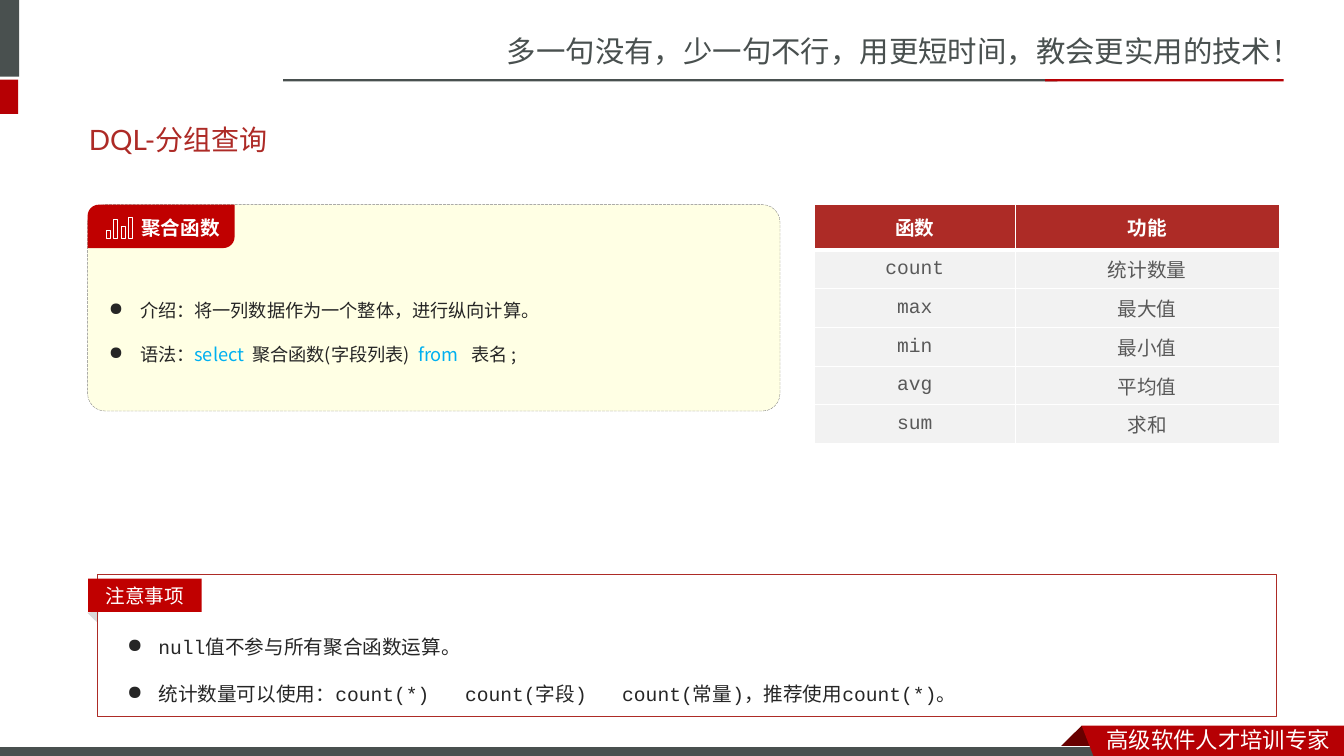
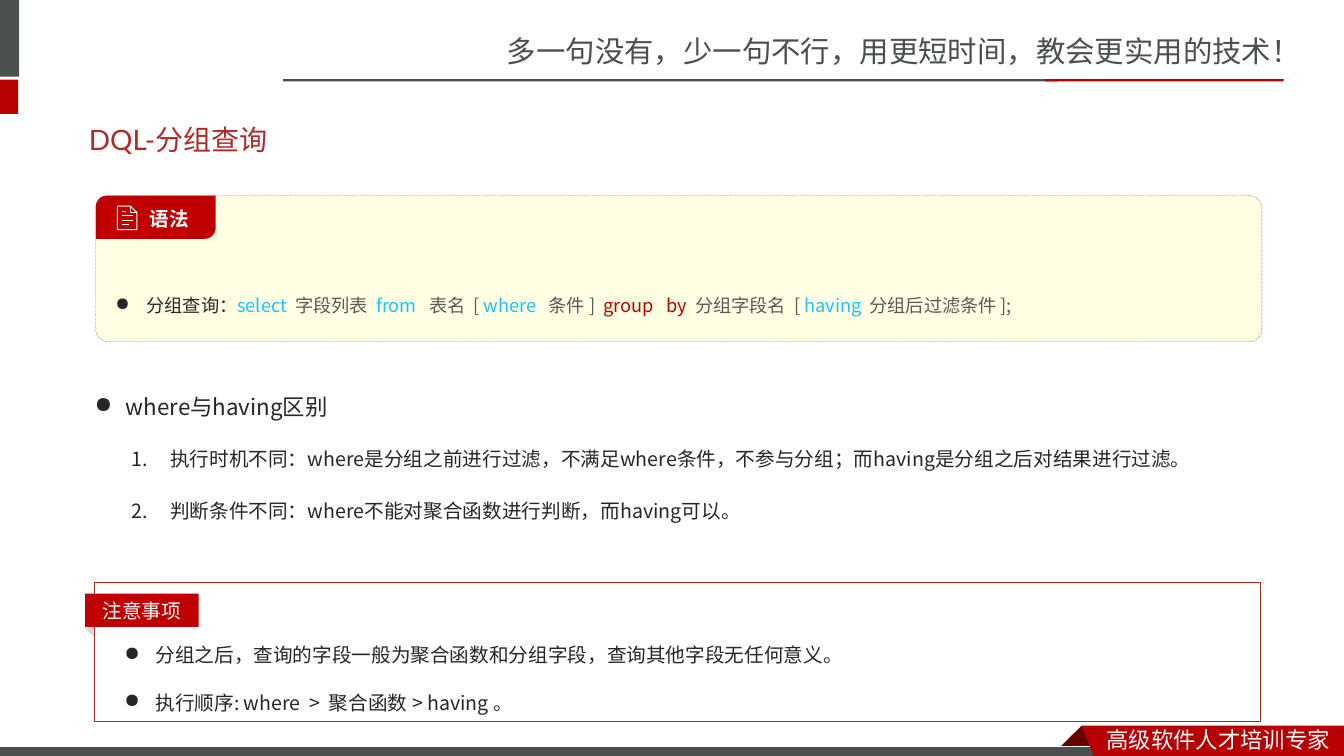
from lxml import etree
from pptx import Presentation
from pptx import util as u
from pptx.dml import color as dml_color
from pptx.enum import dml, shapes, text
from pptx.oxml import ns

COLORS = {
    "slate": "49504F", "band": "B60004", "fold": "680000", "red": "C00000",
    "brick": "AD2B26", "title": "AD2A26", "cream": "FFFFE4", "dash": "808080",
    "ink": "262626", "gray": "595959", "pale": "F2F2F2", "shade": "D9D9D9",
    "blue": "00B0F0", "sky": "19C3FF", "white": "FFFFFF",
}
CJK = "Noto Sans CJK SC"
SANS = "Noto Sans CJK JP"
MONO = "Courier New"
FONTS = {
    "slogan": {"name": CJK, "size": u.Pt(21)},
    "footer": {"name": CJK, "size": u.Pt(16)},
    "title": {"name": "Lato", "size": u.Pt(20), "bold": False},
    "label": {"name": SANS, "size": u.Pt(14), "bold": True},
    "tag": {"name": "Calibri", "size": u.Pt(14)},
    "syntax": {"name": SANS, "size": u.Pt(13)},
    "lead": {"name": SANS, "size": u.Pt(16)},
    "body": {"name": SANS, "size": u.Pt(14)},
    "code": {"name": MONO, "size": u.Pt(14)},
}
LEFT, CENTER = text.PP_ALIGN.LEFT, text.PP_ALIGN.CENTER
TOP, MIDDLE = text.MSO_ANCHOR.TOP, text.MSO_ANCHOR.MIDDLE
SHAPE = shapes.MSO_SHAPE
INSETS = (7.2, 3.6, 7.2, 3.6)
DOT = ("buChar", {"char": "●"})
NUMBER = ("buAutoNum", {"type": "arabicPeriod"})


def points(*values):
    return [u.Pt(value) for value in values]


def rgb(name):
    return dml_color.RGBColor.from_string(COLORS[name])


def add_xml(parent, tag, **attributes):
    return etree.SubElement(parent, ns.qn(f"a:{tag}"), attributes)


class Deck:
    def __init__(self):
        self.presentation = Presentation()
        self.presentation.slide_width, self.presentation.slide_height = points(960, 540)
        self.slide = None

    def new_slide(self, title):
        layout = self.presentation.slide_layouts.get_by_name("Title Only")
        self.slide = self.presentation.slides.add_slide(layout)
        self.text_box((355, 20.2, 605, 34), ["多一句没有，少一句不行，用更短时间，教会更实用的技术！"],
                      "slogan", "slate", insets=(7.2, 3.6, 0, 3.6))
        for box, fill in (((-4.3, 0, 18, 54.7), "slate"), ((-4.3, 56.9, 17.3, 24.5), "band"),
                          ((202.3, 56.6, 553, 1.6), "slate"), ((746.6, 56.6, 170.4, 1.6), "band")):
            self.shape(SHAPE.RECTANGLE, box, fill)
        self.outline([(772.6, 518.4), (788.4, 534.2), (787.7, 535), (757.4, 535), (756.7, 534.2)], "fold")
        self.shape(SHAPE.RECTANGLE, (-0.7, 533.5, 792, 8.6), "slate", "white", 0.75)
        self.outline([(772.6, 518.4), (960, 518.4), (960, 542.9), (781.9, 542.2)], "band")
        self.text_box((783.4, 514.8, 176.6, 26.6), ["高级软件人才培训专家"],
                      "footer", "white", insets=(7.2, 3.6, 0, 3.6))
        self.title(title)

    def title(self, words):
        shape = self.slide.shapes.title
        shape.left, shape.top, shape.width, shape.height = points(56.2, 79.2, 842.4, 41)
        self.set_text(shape.text_frame, [words], "title", "title", anchor=MIDDLE)

    def set_text(self, frame, paragraphs, font, color, align=LEFT, anchor=TOP, insets=INSETS,
                 bullet=None, indent=22.3, spacing=None, before=0):
        """Fill a frame; a paragraph is a string or a list of strings, (string, colour) and
        numbers, where a number is a space widened by that many points."""
        margins = dict(zip(("margin_left", "margin_top", "margin_right", "margin_bottom"), points(*insets)))
        settings = {"word_wrap": True, "auto_size": text.MSO_AUTO_SIZE.NONE,
                    "vertical_anchor": anchor, **margins}
        for name, value in settings.items():
            setattr(frame, name, value)
        for index, content in enumerate(paragraphs):
            paragraph = frame.add_paragraph() if index else frame.paragraphs[0]
            layout = {"alignment": align, "line_spacing": spacing, "space_before": u.Pt(before)}
            for name, value in layout.items():
                setattr(paragraph, name, value)
            if bullet:
                properties = paragraph._p.get_or_add_pPr()
                properties.set("marL", str(u.Pt(indent)))
                properties.set("indent", str(-u.Pt(indent)))
                add_xml(properties, bullet[0], **bullet[1])
            for piece in [content] if isinstance(content, str) else content:
                self.add_piece(paragraph, piece, font, color)

    def add_piece(self, paragraph, piece, font, color):
        run = paragraph.add_run()
        properties = run._r.get_or_add_rPr()
        if isinstance(piece, (int, float)):
            properties.set("spc", str(round(piece * 100)))
            piece = " "
        run.text, color = piece if isinstance(piece, tuple) else (piece, color)
        for name, value in FONTS[font].items():
            setattr(run.font, name, value)
        run.font.color.rgb = rgb(color)
        asian = SANS if FONTS[font]["name"] == SANS else CJK
        add_xml(properties, "ea", typeface=asian)

    def text_box(self, box, paragraphs, font, color, **options):
        shape = self.slide.shapes.add_textbox(*points(*box))
        self.set_text(shape.text_frame, paragraphs, font, color, **options)

    def paint(self, shape, fill=None, line=None, weight=0.75):
        shape.shadow.inherit = False
        if fill:
            shape.fill.solid()
            shape.fill.fore_color.rgb = rgb(fill)
        else:
            shape.fill.background()
        if line:
            shape.line.color.rgb = rgb(line)
            shape.line.width = u.Pt(weight)
        else:
            shape.line.fill.background()
        return shape

    def shape(self, kind, box, fill=None, line=None, weight=0.75):
        return self.paint(self.slide.shapes.add_shape(kind, *points(*box)), fill, line, weight)

    def outline(self, corners, fill=None, line=None, close=True):
        start, *others = [points(*corner) for corner in corners]
        builder = self.slide.shapes.build_freeform(*start)
        builder.add_line_segments(others, close=close)
        self.paint(builder.convert_to_shape(), fill, line)

    def line(self, start, end, color):
        connector = self.slide.shapes.add_connector(
            shapes.MSO_CONNECTOR.STRAIGHT, *points(*start, *end))
        connector.line.color.rgb = rgb(color)
        connector.line.width = u.Pt(0.75)
        add_xml(connector._element.spPr, "effectLst")

    def panel(self, box, label, label_width, paragraphs, icon, inset_top, spacing):
        """Cream dashed panel with a red corner label and a bulleted text."""
        left, top = box[:2]
        panel = self.shape(SHAPE.ROUNDED_RECTANGLE, box, "cream", "dash", 0.25)
        panel.adjustments[0] = 0.085
        panel.line.dash_style = dml.MSO_LINE.LONG_DASH
        self.set_text(panel.text_frame, paragraphs, "syntax", "ink", bullet=DOT, spacing=spacing,
                      insets=(11.5, inset_top, 5.8, 0))
        corner = self.shape(SHAPE.ROUND_2_DIAG_RECTANGLE, (left, top, label_width, 31), "red")
        corner.adjustments[0], corner.adjustments[1] = 0.258, 0
        self.set_text(corner.text_frame, [label], "label", "white", anchor=MIDDLE, insets=(36, 2, 0, 0))
        icon(left, top)

    def bars_icon(self, left, top):
        for index, height in enumerate((5.5, 13.5, 8.5, 15)):
            self.shape(SHAPE.RECTANGLE, (left + 13.5 + 5.3 * index, top + 24 - height, 2.8, height),
                       line="white")

    def document_icon(self, left, top):
        left, top = left + 15.5, top + 7.5
        right, bottom, fold = left + 13.8, top + 16.8, 4.6
        self.outline([(left, top), (right - fold, top), (right, top + fold),
                      (right, bottom), (left, bottom)], line="white")
        self.outline([(right - fold, top), (right - fold, top + fold), (right, top + fold)],
                     line="white", close=False)
        for index, length in enumerate((2.6, 7.8, 7.8, 5)):
            y = top + 3.6 + 3.2 * index
            self.line((left + 3.2, y), (left + 3.2 + length, y), "white")

    def notice(self, box, tag_top, text_top, paragraphs, font):
        """Framed remarks with a folded red tag over the left edge."""
        left = box[0]
        self.text_box((left + 14, text_top, 664, 70.6), paragraphs, font, "ink",
                      bullet=DOT, spacing=2)
        fold = self.shape(SHAPE.ISOSCELES_TRIANGLE, (left - 6.6, tag_top + 22.3, 10, 6.5), "shade")
        fold.rotation = 44.2
        self.shape(SHAPE.RECTANGLE, box, line="brick")
        tag = self.shape(SHAPE.RECTANGLE, (left - 6.8, tag_top, 81, 23.8), "red")
        self.set_text(tag.text_frame, ["注意事项"], "tag", "white", CENTER, MIDDLE)

    def table(self, left, top, widths, header_height, row_height, rows):
        height = header_height + row_height * (len(rows) - 1)
        frame = self.slide.shapes.add_table(
            len(rows), len(widths), *points(left, top, sum(widths), height))
        table = frame.table
        for column, width in zip(table.columns, widths):
            column.width = u.Pt(width)
        for index, values in enumerate(rows):
            header = index == 0
            table.rows[index].height = u.Pt(header_height if header else row_height)
            for cell, value in zip(table.rows[index].cells, values):
                font, color, fill = ("label", "white", "brick") if header else ("code", "gray", "pale")
                self.set_text(cell.text_frame, [value], font, color, CENTER)
                cell.vertical_anchor = MIDDLE
                self.borders(cell, {"lnL": 1, "lnR": 1, "lnT": 3 if index == 1 else 1,
                                    "lnB": 3 if header else 1})
                cell.fill.solid()
                cell.fill.fore_color.rgb = rgb(fill)

    def borders(self, cell, weights):
        properties = cell._tc.get_or_add_tcPr()
        for side, weight in weights.items():
            border = add_xml(properties, side, w=str(u.Pt(weight)))
            add_xml(add_xml(border, "solidFill"), "srgbClr", val=COLORS["white"])


def aggregate_slide(deck):
    deck.new_slide("DQL-分组查询")
    deck.table(581.8, 146.2, (143.3, 188.6), 32.4, 27.5, [
        ("函数", "功能"), ("count", "统计数量"), ("max", "最大值"),
        ("min", "最小值"), ("avg", "平均值"), ("sum", "求和")])
    deck.notice((69.8, 410.4, 842.4, 101.5), 413.3, 433.4, [
        "null值不参与所有聚合函数运算。",
        ["统计数量可以使用：count(*)", 16.8, "count(字段)", 16.8, "count(常量)，推荐使用count(*)。"],
    ], "code")
    deck.panel((62.6, 146.2, 494.6, 147.4), "聚合函数", 105, [
        "介绍：将一列数据作为一个整体，进行纵向计算。",
        ["语法：", ("select", "blue"), 3, "聚合函数(字段列表)", 3, ("from", "blue"), 6, "表名 ;"],
    ], deck.bars_icon, 48.2, 2)


def grouping_slide(deck):
    deck.new_slide("DQL-分组查询")
    deck.panel((68.4, 139.7, 833, 104.4), "语法", 85.7, [
        ["分组查询：", ("select", "sky"), 3, ("字段列表", "gray"), 3, ("from", "sky"), 6,
         ("表名", "gray"), 3, ("[ ", "gray"), ("where", "sky"), 6, ("条件 ]", "gray"), 3,
         ("group", "red"), 6, ("by", "red"), 3, ("分组字段名", "gray"), 3, ("[ ", "gray"),
         ("having", "sky"), 3, ("分组后过滤条件 ];", "gray")],
    ], deck.document_icon, 36.7, 3)
    deck.notice((67.7, 416.2, 833, 99.4), 424, 439.2, [
        "分组之后，查询的字段一般为聚合函数和分组字段，查询其他字段无任何意义。",
        ["执行顺序: where", 3, ">", 3, "聚合函数 > having 。"],
    ], "body")
    deck.text_box((60.5, 277.2, 837.4, 26.6), ["where与having区别"], "lead", "ink", bullet=DOT)
    deck.text_box((87.1, 307.4, 813.6, 67.7), [
        "执行时机不同：where是分组之前进行过滤，不满足where条件，不参与分组；而having是分组之后对结果进行过滤。",
        "判断条件不同：where不能对聚合函数进行判断，而having可以。",
    ], "body", "ink", bullet=NUMBER, indent=27.4, spacing=1.5, before=12)


def main():
    deck = Deck()
    aggregate_slide(deck)
    grouping_slide(deck)
    deck.presentation.save("out.pptx")


if __name__ == "__main__":
    main()
